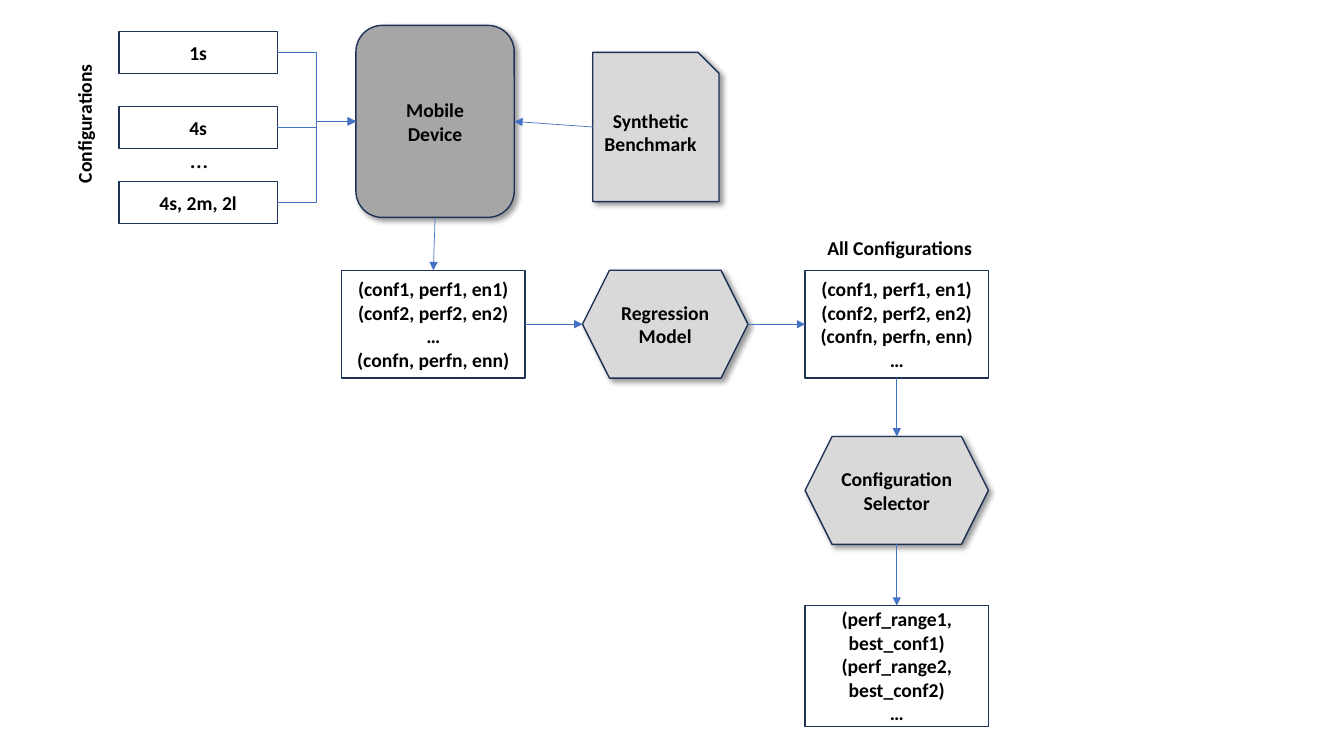
import dataclasses
import pptx
import pptx.dml.color
import pptx.enum.shapes
import pptx.enum.text
import pptx.oxml
import pptx.oxml.ns
import pptx.util
from lxml import etree

Cm, Pt = pptx.util.Cm, pptx.util.Pt
RGB = pptx.dml.color.RGBColor.from_string
SHAPE = pptx.enum.shapes.MSO_SHAPE
LINK = pptx.enum.shapes.MSO_CONNECTOR
ALIGN = pptx.enum.text.PP_ALIGN
ANCHOR = pptx.enum.text.MSO_ANCHOR
qn = pptx.oxml.ns.qn


@dataclasses.dataclass(frozen=True)
class Theme:
    font: str = "Calibri"
    text: str = "000000"
    white: str = "FFFFFF"
    light: str = "D9D9D9"
    dark: str = "A6A6A6"
    outline: str = "1E3256"
    arrow: str = "4472C4"
    size: float = 14
    dots_size: float = 18
    outline_width: float = 1
    arrow_width: float = 0.5


theme = Theme()
prs = pptx.Presentation()
prs.slide_width, prs.slide_height = Cm(33.87), Cm(19.05)
slide = prs.slides.add_slide(prs.slide_layouts[6])


def add_text(text, box, kind=None, fill=theme.white, shadow_angle=None,
             size=theme.size, bold=True, rotation=0):
    """Add a shape of the given kind, or a plain label if there is none."""
    box = [Cm(v) for v in box]
    if kind is None:
        sp = slide.shapes.add_textbox(*box)
    else:
        sp = slide.shapes.add_shape(kind, *box)
        sp.fill.solid()
        sp.fill.fore_color.rgb = RGB(fill)
        sp.line.color.rgb = RGB(theme.outline)
        sp.line.width = Pt(theme.outline_width)
        sp.shadow.inherit = False
    if shadow_angle is not None:
        effects = sp._element.spPr.find(qn("a:effectLst"))
        shadow = etree.SubElement(effects, qn("a:outerShdw"), blurRad=str(Pt(4)),
                                  dist=str(Pt(3)), dir=str(shadow_angle * 60000),
                                  algn="tl", rotWithShape="0")
        color = etree.SubElement(shadow, qn("a:srgbClr"), val=theme.text)
        etree.SubElement(color, qn("a:alpha"), val="40000")
    sp.rotation = rotation
    tf = sp.text_frame
    tf.word_wrap = kind is not None
    tf.vertical_anchor = ANCHOR.TOP if kind is None else ANCHOR.MIDDLE
    tf.text = text
    for p in tf.paragraphs:
        p.alignment = ALIGN.LEFT if kind is None else ALIGN.CENTER
        for r in p.runs:
            r.font.name, r.font.size, r.font.bold = theme.font, Pt(size), bold
            r.font.color.rgb = RGB(theme.text)
    return sp


def add_arrow(source, target, side, kind=LINK.STRAIGHT):
    """Join two shapes; side is where the arrow leaves the source."""
    if side == "bottom":
        start = source.left + source.width // 2, source.top + source.height
        end = target.left + target.width // 2, target.top
    else:
        near, far = (source.width, 0) if side == "right" else (0, target.width)
        start = source.left + near, source.top + source.height // 2
        end = target.left + far, target.top + target.height // 2
    cxn = slide.shapes.add_connector(kind, *start, *end)
    cxn.line.color.rgb = RGB(theme.arrow)
    cxn.line.width = Pt(theme.arrow_width)
    etree.SubElement(cxn.line._get_or_add_ln(), qn("a:tailEnd"), type="triangle")
    etree.SubElement(cxn._element.spPr, qn("a:effectLst"))


# Shared measures in centimetres
row_top, node_h = 6.81, 2.72
result_x, result_w = 20.29, 4.62

# Input configurations
configs = [add_text(text, (3, 0.79 + 1.89 * i, 3.99, 1.07), SHAPE.RECTANGLE)
           for i, text in enumerate(["1s", "4s", "4s, 2m, 2l"])]
add_text("…", (4.55, 3.48, 0.97, 1.02), size=theme.dots_size, bold=False)
add_text("Configurations", (0.36, 2.67, 3.53, 0.86), rotation=270)

# Device and benchmark
device = add_text("Mobile\vDevice", (8.97, 0.64, 3.99, 4.84),
                  SHAPE.ROUNDED_RECTANGLE, fill=theme.dark, shadow_angle=45)
benchmark = add_text("Synthetic\vBenchmark", (14.94, 1.32, 3.18, 3.76),
                     SHAPE.SNIP_1_RECTANGLE, fill=theme.light, shadow_angle=45)

# Measurements, model and predictions
measured = add_text("(conf1, perf1, en1)\v(conf2, perf2, en2)\v…\v(confn, perfn, enn)",
                    (8.61, row_top, result_w, node_h), SHAPE.RECTANGLE)
model = add_text("Regression\vModel", (14.68, row_top, 4.17, node_h),
                 SHAPE.HEXAGON, fill=theme.light, shadow_angle=40)
predicted = add_text("(conf1, perf1, en1)\v(conf2, perf2, en2)\v(confn, perfn, enn)\n…",
                     (result_x, row_top, result_w, node_h), SHAPE.RECTANGLE)
add_text("All Configurations", (20.6, 5.82, 4.19, 0.86))

# Selection
selector = add_text("Configuration\vSelector", (result_x, 11, result_w, node_h),
                    SHAPE.HEXAGON, fill=theme.light, shadow_angle=40)
ranges = add_text("(perf_range1, best_conf1)\v(perf_range2, best_conf2)\n…",
                  (result_x, 15.26, result_w, 3.05), SHAPE.RECTANGLE)

# Flow
for config in configs:
    add_arrow(config, device, "right", LINK.ELBOW)
for source, target, side in [
    (benchmark, device, "left"),
    (device, measured, "bottom"),
    (measured, model, "right"),
    (model, predicted, "right"),
    (predicted, selector, "bottom"),
    (selector, ranges, "bottom"),
]:
    add_arrow(source, target, side)

prs.save("out.pptx")
